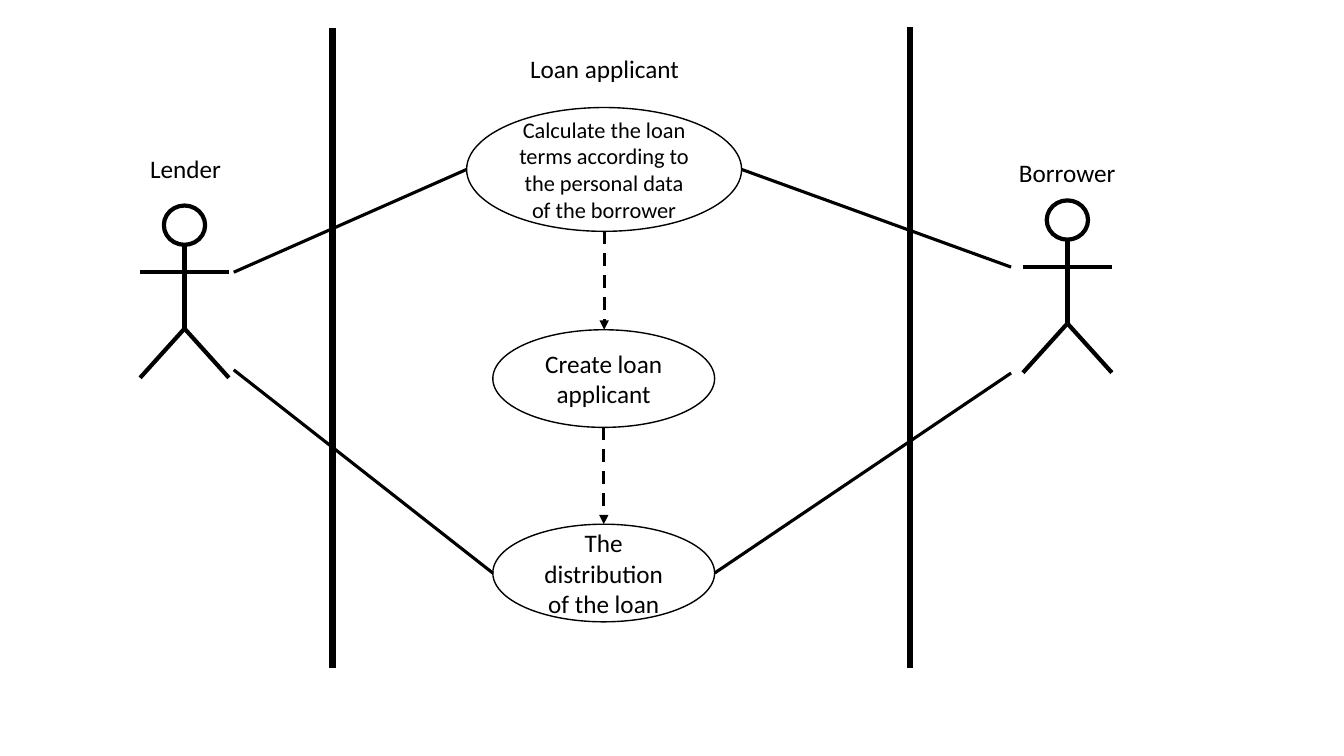
from pptx import Presentation
from pptx.dml.color import RGBColor
from pptx.enum.dml import MSO_LINE
from pptx.enum.shapes import MSO_CONNECTOR, MSO_SHAPE
from pptx.enum.text import MSO_ANCHOR as Anchor, MSO_AUTO_SIZE as AutoSize, PP_ALIGN as Align
from pptx.oxml.ns import qn
from pptx.util import Cm, Pt
from lxml.etree import SubElement

BLACK = RGBColor(0, 0, 0)
WHITE = RGBColor(255, 255, 255)
FONT = {"name": "Calibri", "bold": False}


def write(shape, text, size, anchor):
    frame = shape.text_frame
    settings = {"word_wrap": True, "auto_size": AutoSize.NONE, "vertical_anchor": anchor}
    for name, value in settings.items():
        setattr(frame, name, value)
    para = frame.paragraphs[0]
    para.alignment = Align.CENTER
    span = para.add_run()
    span.text = text
    for name, value in {**FONT, "size": Pt(size)}.items():
        setattr(span.font, name, value)
    span.font.color.rgb = BLACK


def draw_line(shapes, start, end, width, arrow=False):
    ends = [Cm(value) for value in (*start, *end)]
    line = shapes.add_connector(MSO_CONNECTOR.STRAIGHT, *ends)
    line.line.color.rgb = BLACK
    line.line.width = Pt(width)
    if arrow:
        line.line.dash_style = MSO_LINE.DASH
        SubElement(line.line._get_or_add_ln(), qn("a:tailEnd"), type="triangle")
    SubElement(line._element.spPr, qn("a:effectLst"))


def draw_ellipse(shapes, box, width, filled=True):
    ellipse = shapes.add_shape(MSO_SHAPE.OVAL, *[Cm(value) for value in box])
    ellipse.shadow.inherit = False
    if filled:
        ellipse.fill.solid()
        ellipse.fill.fore_color.rgb = WHITE
    else:
        ellipse.fill.background()
    ellipse.line.color.rgb = BLACK
    ellipse.line.width = Pt(width)
    return ellipse


def add_title(page, box, text):
    title = page.shapes.title
    for name, value in zip(("left", "top", "width", "height"), box):
        setattr(title, name, Cm(value))
    write(title, text, 18, Anchor.TOP)


def add_label(page, box, text):
    label = page.shapes.add_textbox(*[Cm(value) for value in box])
    write(label, text, 18, Anchor.TOP)


def add_actor(page, box):
    left, top, width, height = box
    shapes = page.shapes.add_group_shape().shapes
    middle, right, bottom = left + width / 2, left + width, top + height
    head_width, head_height = 1.04, 0.99
    arms, hip = top + 1.68, (middle, top + 3.1)
    draw_ellipse(shapes, (middle - head_width / 2, top, head_width, head_height), 3, False)
    for start, end in (
        ((left, arms), (right, arms)),
        (hip, (middle, top + head_height)),
        ((left, bottom), hip),
        ((right, bottom), hip),
    ):
        draw_line(shapes, start, end, 3)


def add_use_case(page, box, text, size):
    ellipse = draw_ellipse(page.shapes, box, 1)
    write(ellipse, text, size, Anchor.MIDDLE)


def add_associations(page, box, lender_end, borrower_end):
    left, top, width, height = box
    middle = top + height / 2
    draw_line(page.shapes, lender_end, (left, middle), 2.25)
    draw_line(page.shapes, borrower_end, (left + width, middle), 2.25)


def add_flow(page, boxes):
    for upper, lower in zip(boxes, boxes[1:]):
        center = upper[0] + upper[2] / 2
        draw_line(page.shapes, (center, upper[1] + upper[3]), (center, lower[1]), 2.25, True)


deck = Presentation()
deck.slide_width, deck.slide_height = Cm(33.87), Cm(19.05)
page = deck.slides.add_slide(deck.slide_layouts[5])

add_title(page, (11.35, 1.22, 7.77, 1.02), "Loan applicant")
for actor_box, label_box, name in (
    ((3.53, 5.18, 2.24, 4.34), (0.79, 3.73, 7.77, 1.02), "Lender"),
    ((25.78, 5.05, 2.24, 4.34), (23.01, 3.84, 7.77, 1.02), "Borrower"),
):
    add_actor(page, actor_box)
    add_label(page, label_box, name)

for x, top in ((8.38, 0.71), (22.94, 0.69)):
    draw_line(page.shapes, (x, top), (x, top + 16.13), 4.5)

use_cases = (
    ((11.76, 2.71, 6.93, 3.12),
     "Calculate the loan terms according to the personal data of the borrower", 16),
    ((12.42, 8.31, 5.59, 2.46), "Create loan applicant", 18),
    ((12.42, 13.21, 5.59, 2.46), "The distribution of the loan", 18),
)
for box, text, size in use_cases:
    add_use_case(page, box, text, size)

boxes = [box for box, text, size in use_cases]
add_flow(page, boxes)
add_associations(page, boxes[0], (5.89, 6.86), (25.48, 6.73))
add_associations(page, boxes[-1], (5.89, 9.32), (25.48, 9.4))

deck.save("out.pptx")
